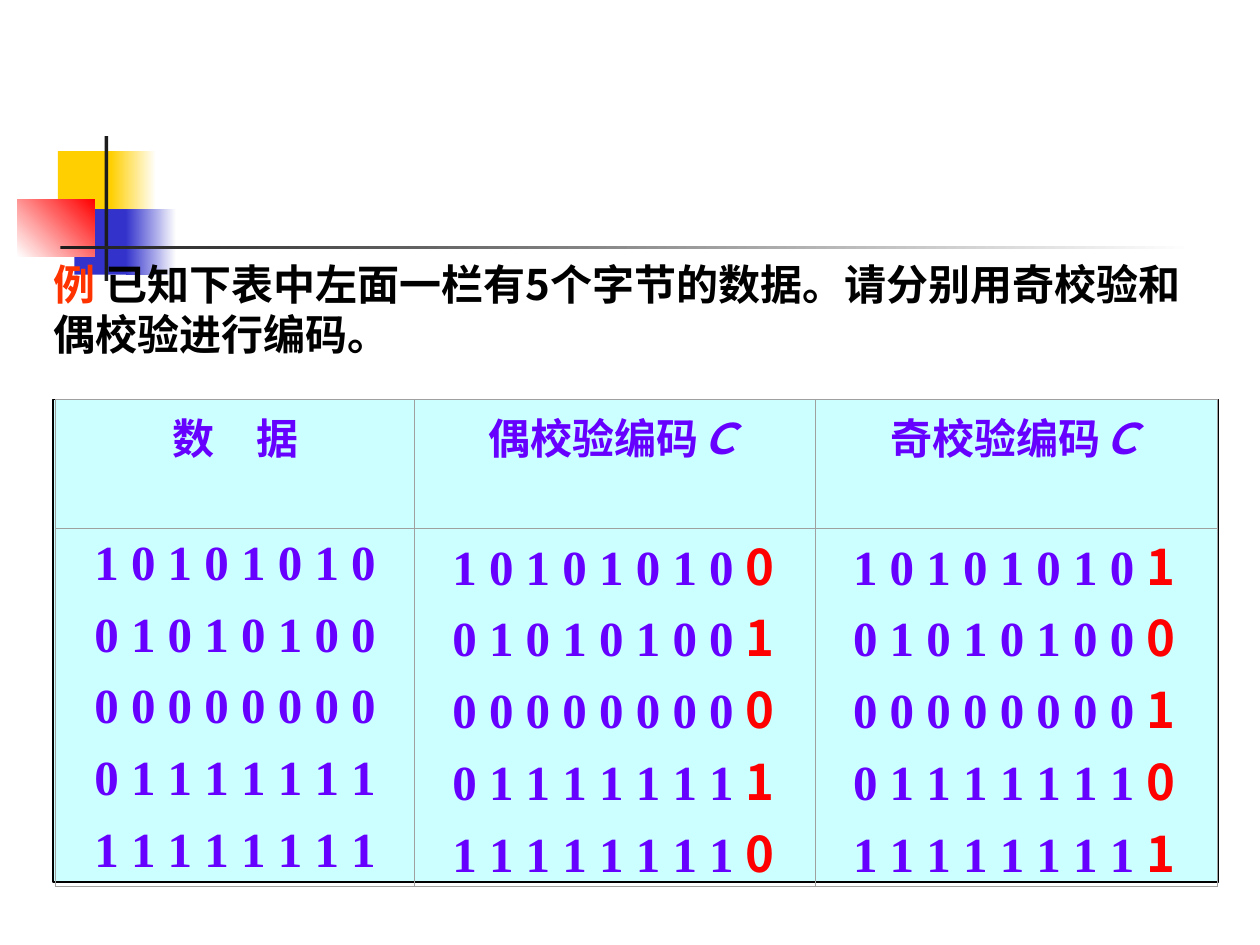
from lxml.etree import SubElement
from pptx import Presentation
from pptx.dml.color import RGBColor
from pptx.enum.shapes import MSO_SHAPE
from pptx.enum.text import MSO_ANCHOR, PP_ALIGN
from pptx.oxml.ns import qn
from pptx.util import Inches, Pt

COLORS = {
    "gold": "FFCF01", "blue": "3333CC", "red": "FF0000", "dark": "1C1C1C",
    "white": "FFFFFF", "black": "000000", "orange": "FF3300",
    "violet": "6600FF", "cyan": "CCFFFF", "grey": "A0A0A0",
}
SANS, SERIF = "Noto Sans CJK SC", "Times New Roman"


def add_run(para, text, size, color, face=SANS, italic=None):
    """Add one bold run; Chinese characters always use the sans face."""
    run = para.add_run()
    run.text = text
    font = run.font
    font.size, font.bold, font.italic, font.name = Pt(size), True, italic, face
    font.color.rgb = RGBColor.from_string(COLORS[color])
    SubElement(font._element, qn("a:ea")).set("typeface", SANS)


def add_rect(box, *names, angle=0):
    """Add a rectangle filled with one colour, or with a gradient of two."""
    rect = slide.shapes.add_shape(MSO_SHAPE.RECTANGLE, *map(Inches, box))
    rect.shadow.inherit = False
    rect.line.fill.background()
    tones = [RGBColor.from_string(COLORS[name]) for name in names]
    if len(tones) == 1:
        rect.fill.solid()
        rect.fill.fore_color.rgb = tones[0]
    else:
        rect.fill.gradient()
        rect.fill.gradient_angle = angle
        for stop, tone in zip(rect.fill.gradient_stops, tones):
            stop.color.rgb = tone
    return rect


deck = Presentation()
deck.slide_width, deck.slide_height = Inches(10), Inches(7.5)
slide = deck.slides.add_slide(deck.slide_layouts[6])

# Corner ornament and rule
add_rect((0.46, 1.2, 0.48, 0.52), "gold")
add_rect((0.88, 1.2, 0.36, 0.52), "gold", "white")
add_rect((0.59, 1.66, 0.46, 0.52), "blue")
add_rect((1, 1.66, 0.4, 0.52), "blue", "white")
add_rect((0.14, 1.58, 0.61, 0.46), "white", "red", angle=45)
add_rect((0.83, 1.08, 0.03, 1.15), "dark")
add_rect((0.48, 1.95, 9, 0.03), "dark", "white")

# Question
box = slide.shapes.add_textbox(Inches(0.33), Inches(2), Inches(9.36), Inches(0.9))
box.text_frame.word_wrap = True
para = box.text_frame.paragraphs[0]
add_run(para, "例", 24, "orange")
add_run(para, " 已知下表中左面一栏有5个字节的数据。请分别用奇校验和偶校验进行编码。", 24, "black")

# Panel behind the table
panel = add_rect((0.42, 3.17, 9.25, 3.83), "cyan")
panel.line.color.rgb = RGBColor.from_string(COLORS["black"])
panel.line.width = Pt(0.75)

# Parity table
heads = [("数　据", ""), ("偶校验编码", "Ｃ"), ("奇校验编码", "Ｃ")]
codes = ["10101010", "01010100", "00000000", "01111111", "11111111"]
widths = [2.85, 3.18, 3.19]
heights = [1.02] + [0.57] * len(codes)
table = slide.shapes.add_table(
    len(heights), len(widths), Inches(0.44), Inches(3.17),
    Inches(sum(widths)), Inches(sum(heights))).table
table.first_row = table.horz_banding = False
for col, width in zip(table.columns, widths):
    col.width = Inches(width)
for row, height in zip(table.rows, heights):
    row.height = Inches(height)

last = len(codes)
for r in range(last + 1):
    for c in range(len(widths)):
        cell = table.cell(r, c)
        para = cell.text_frame.paragraphs[0]
        if r == 0 or c == 0:
            para.alignment = PP_ALIGN.CENTER
        if r == 0:
            title, symbol = heads[c]
            add_run(para, title, 24, "violet", SERIF)
            if symbol:
                add_run(para, symbol, 24, "violet", SERIF, italic=True)
        else:
            cell.margin_top = cell.margin_bottom = 0
            cell.vertical_anchor = MSO_ANCHOR.MIDDLE
            code = codes[r - 1]
            bits = " ".join(code)
            if c == 0:
                add_run(para, bits, 28, "violet", SERIF)
            else:
                cell.margin_left = Inches(0.3)
                even = code.count("1") % 2
                add_run(para, bits + " ", 28, "violet", SERIF)
                add_run(para, str(even if c == 1 else 1 - even), 28, "red")
        # Body rows share one frame, with no rules between them
        drawn = {"L": True, "R": True, "T": r < 2, "B": r in (0, last)}
        props = cell._tc.get_or_add_tcPr()
        for side, shown in drawn.items():
            line = SubElement(props, qn(f"a:ln{side}"), w=str(Pt(0.5)))
            fill = SubElement(line, qn("a:solidFill" if shown else "a:noFill"))
            if shown:
                SubElement(fill, qn("a:srgbClr"), val=COLORS["grey"])
        cell.fill.background()

deck.save("out.pptx")
